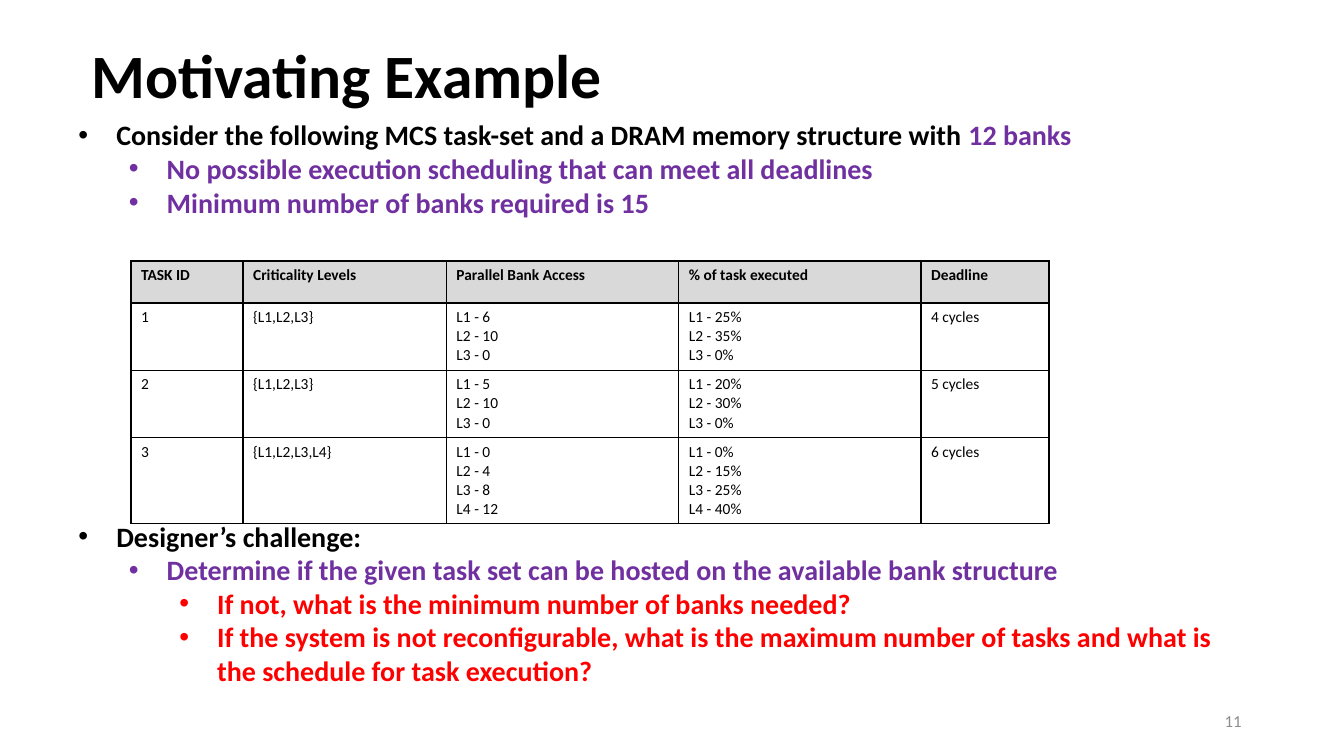
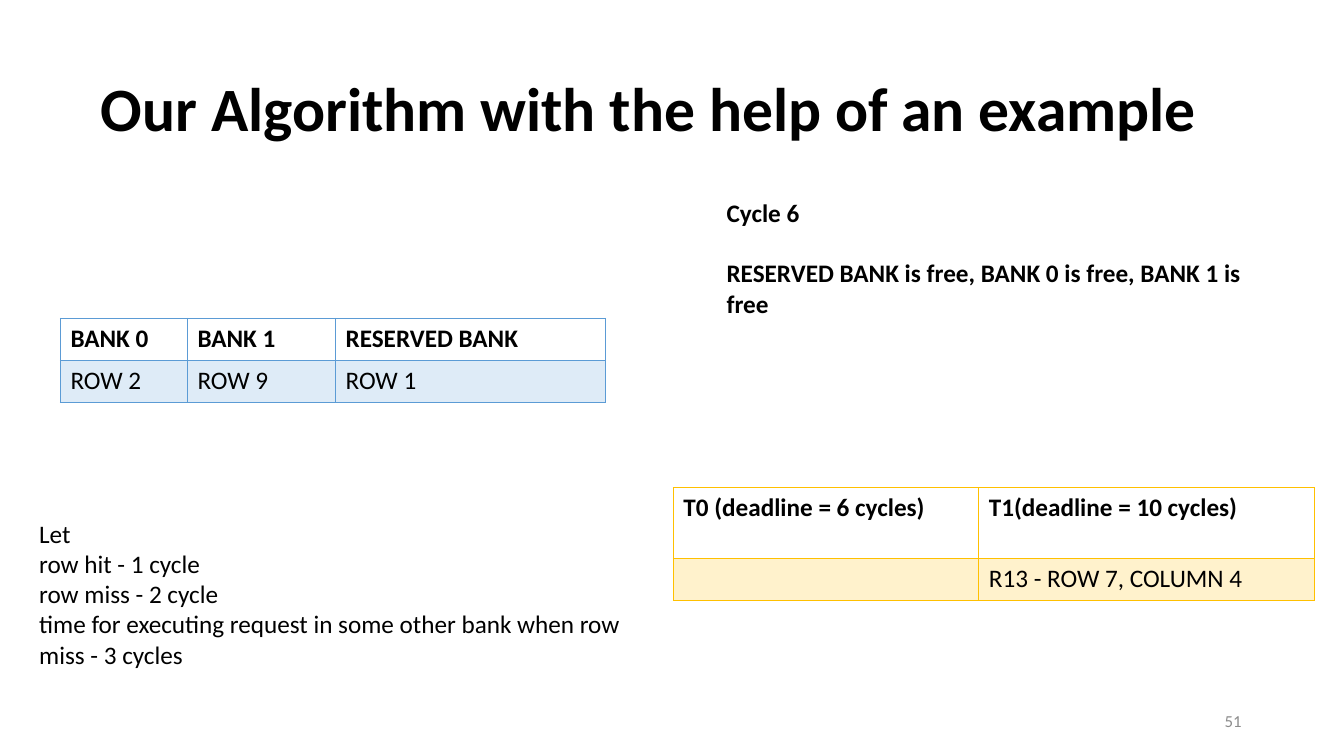
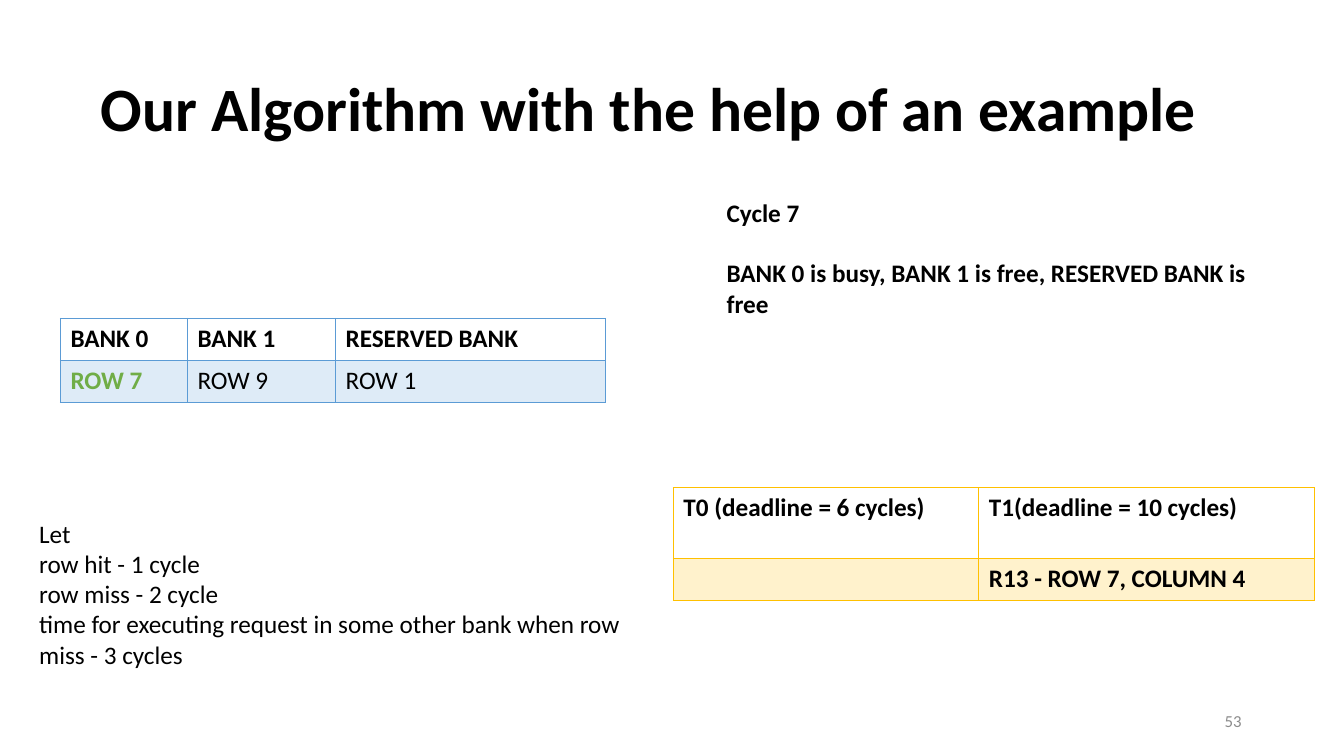
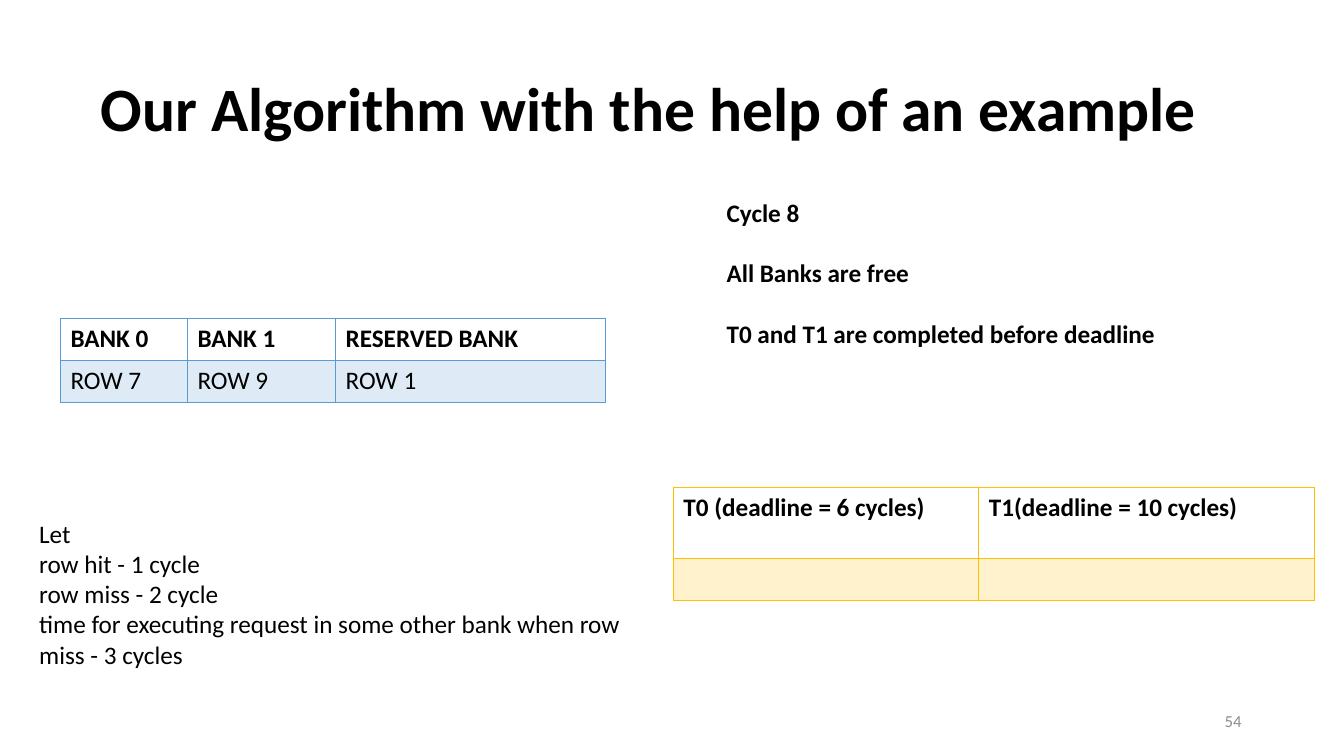
from pptx import Presentation
from pptx.dml.color import RGBColor
from pptx.enum.text import MSO_ANCHOR as Anchor, PP_ALIGN as Align
from pptx.oxml.ns import qn
from pptx.util import Pt
from lxml.etree import SubElement

FONT = "Calibri"
BLACK, WHITE, GREY = "000000", "FFFFFF", "8C8C8C"
PURPLE, RED, GREEN = "7030A0", "FF0000", "70AD47"
LEVELS = [BLACK, PURPLE, RED]  # text colour of each bullet level

# Table looks: border, header fill, body fill, text size
PLAIN = (BLACK, "D9D9D9", WHITE, 11)
BLUE = ("5B9BD5", None, "DEEBF7", 18)
GOLD = ("FFC000", None, "FFF2CC", 18)

SETUP = [
    (0, [("Consider the following MCS task-set and a DRAM memory structure with ", {}),
         ("12 banks", {"color": PURPLE})]),
    (1, "No possible execution scheduling that can meet all deadlines"),
    (1, "Minimum number of banks required is 15"),
]
TASKS = [
    ["TASK ID", "Criticality Levels", "Parallel Bank Access", "% of task executed", "Deadline"],
    ["1", "{L1,L2,L3}", "L1 - 6\nL2 - 10\nL3 - 0", "L1 - 25%\nL2 - 35%\nL3 - 0%", "4 cycles"],
    ["2", "{L1,L2,L3}", "L1 - 5\nL2 - 10\nL3 - 0", "L1 - 20%\nL2 - 30%\nL3 - 0%", "5 cycles"],
    ["3", "{L1,L2,L3,L4}", "L1 - 0\nL2 - 4\nL3 - 8\nL4 - 12",
     "L1 - 0%\nL2 - 15%\nL3 - 25%\nL4 - 40%", "6 cycles"],
]
GOALS = [
    (0, "Designer’s challenge:"),
    (1, "Determine if the given task set can be hosted on the available bank structure"),
    (2, "If not, what is the minimum number of banks needed?"),
    (2, "If the system is not reconfigurable, what is the maximum number of tasks "
        "and what is the schedule for task execution?"),
]

BANKS = ["BANK 0", "BANK 1", "RESERVED BANK"]
QUEUES = ["T0 (deadline = 6 cycles)", "T1(deadline = 10 cycles)"]
COSTS = ["Let", "row hit - 1 cycle", "row miss - 2 cycle",
         "time for executing request in some other bank when row miss - 3 cycles"]
REQUEST = "R13 - ROW 7, COLUMN 4"
CYCLES = [
    {"page": 51, "rows": ["ROW 2", "ROW 9", "ROW 1"], "queue": ["", REQUEST],
     "state": ["Cycle 6", "RESERVED BANK is free, BANK 0 is free, BANK 1 is free"]},
    {"page": 53,
     "rows": [[[("ROW 7", {"color": GREEN, "bold": True})]], "ROW 9", "ROW 1"],
     "queue": ["", [[(REQUEST, {"bold": True})]]],
     "state": ["Cycle 7", "BANK 0 is busy, BANK 1 is free, RESERVED BANK is free"]},
    {"page": 54, "rows": ["ROW 7", "ROW 9", "ROW 1"], "queue": ["", ""],
     "state": ["Cycle 8", "All Banks are free", "T0 and T1 are completed before deadline"]},
]


def paint(target, color):
    """Give a font colour or a fill its hex colour."""
    target.rgb = RGBColor.from_string(color)


def write(frame, lines, size=18, color=BLACK, bold=False, align=Align.LEFT,
          gap=0, pitch=None):
    """Fill a frame; a line is a string or a list of (text, format) runs."""
    frame.word_wrap = True
    if isinstance(lines, str):
        lines = lines.split("\n")
    for i, line in enumerate(lines):
        para = frame.add_paragraph() if i else frame.paragraphs[0]
        para.alignment = align
        para.space_before = Pt(gap if i else 0)
        if pitch:
            para.line_spacing = pitch
        for text, own in [(line, {})] if isinstance(line, str) else line:
            if not text:
                continue
            run = para.add_run()
            run.text = text
            font = run.font
            font.name, font.size = FONT, Pt(size)
            font.bold = own.get("bold", bold)
            paint(font.color, own.get("color", color))


def add_text(slide, at, lines, **style):
    frame = slide.shapes.add_textbox(*map(Pt, at)).text_frame
    write(frame, lines, **style)
    return frame


def add_list(slide, at, items):
    """Add bold bullets whose colour and indent follow their level."""
    lines = [[(text, {"color": LEVELS[level]})] if isinstance(text, str) else text
             for level, text in items]
    frame = add_text(slide, at, lines, size=20, bold=True)
    for para, (level, _) in zip(frame.paragraphs, items):
        para.level = level
        props = para._p.get_or_add_pPr()
        props.set("marL", str(Pt(27 + 36 * level)))
        props.set("indent", str(Pt(-27)))
        SubElement(props, qn("a:buFont"), typeface="Arial")
        SubElement(props, qn("a:buChar"), char="•")


def add_border(cell, color, width=1):
    props = cell._tc.get_or_add_tcPr()
    for side in "LRTB":
        line = SubElement(props, qn("a:ln" + side), w=str(Pt(width)))
        fill = SubElement(line, qn("a:solidFill"))
        SubElement(fill, qn("a:srgbClr"), val=color)


def add_grid(slide, left, top, widths, heights, cells, look):
    edge, head, body, size = look
    table = slide.shapes.add_table(
        len(heights), len(widths), Pt(left), Pt(top),
        Pt(sum(widths)), Pt(sum(heights))).table
    for col, width in zip(table.columns, widths):
        col.width = Pt(width)
    for r, (row, height) in enumerate(zip(cells, heights)):
        table.rows[r].height = Pt(height)
        for c, text in enumerate(row):
            cell = table.cell(r, c)
            write(cell.text_frame, text, size=size, bold=r == 0)
            add_border(cell, edge)
            color = body if r else head
            if color:
                cell.fill.solid()
                paint(cell.fill.fore_color, color)
            else:
                cell.fill.background()


def add_slide(deck, title, left, top, page):
    """Add a slide with its title and page number."""
    slide = deck.slides.add_slide(deck.slide_layouts[5])
    head = slide.shapes.title
    head.left, head.top, head.width, head.height = map(Pt, (left, top, 828, 104.4))
    head.text_frame.vertical_anchor = Anchor.MIDDLE
    write(head.text_frame, title, size=44, bold=True, pitch=0.9)
    foot = add_text(slide, (678, 500.5, 216, 28.8), str(page),
                    size=12, color=GREY, align=Align.RIGHT)
    foot.vertical_anchor = Anchor.MIDDLE
    return slide


def add_example(deck):
    slide = add_slide(deck, "Motivating Example", 58.3, 3.6, 11)
    add_grid(slide, 93.6, 186.4, [80, 145.3, 166, 173, 91.4], [30, 48, 48, 61.5],
             TASKS, PLAIN)
    add_list(slide, (49, 80.6, 848, 104.4), SETUP)
    add_list(slide, (49, 367.2, 848, 152.6), GOALS)


def add_cycle(deck, page, rows, queue, state):
    slide = add_slide(deck, "Our Algorithm with the help of an example", 64.8, 27.4, page)
    add_grid(slide, 481, 348.5, [218.2, 239.8], [50.4, 30], [QUEUES, queue], GOLD)
    add_text(slide, (511.9, 137.5, 404.6, 94), state, bold=True, gap=21.5)
    add_grid(slide, 43.2, 227.5, [90.7, 105.8, 193], [30, 30], [BANKS, rows], BLUE)
    add_text(slide, (20.9, 366.5, 445, 115.2), COSTS)


def main():
    deck = Presentation()
    deck.slide_width, deck.slide_height = Pt(960), Pt(540)
    add_example(deck)
    for cycle in CYCLES:
        add_cycle(deck, **cycle)
    deck.save("out.pptx")


if __name__ == "__main__":
    main()
